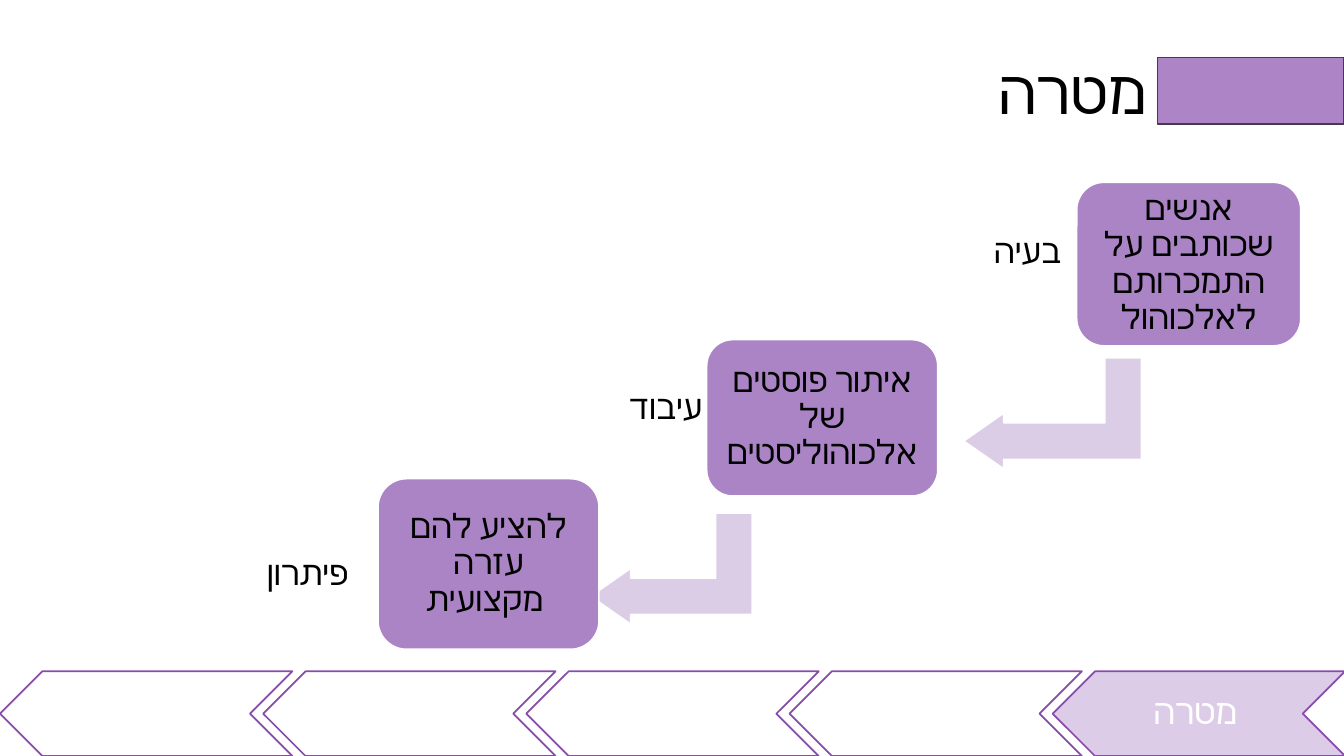
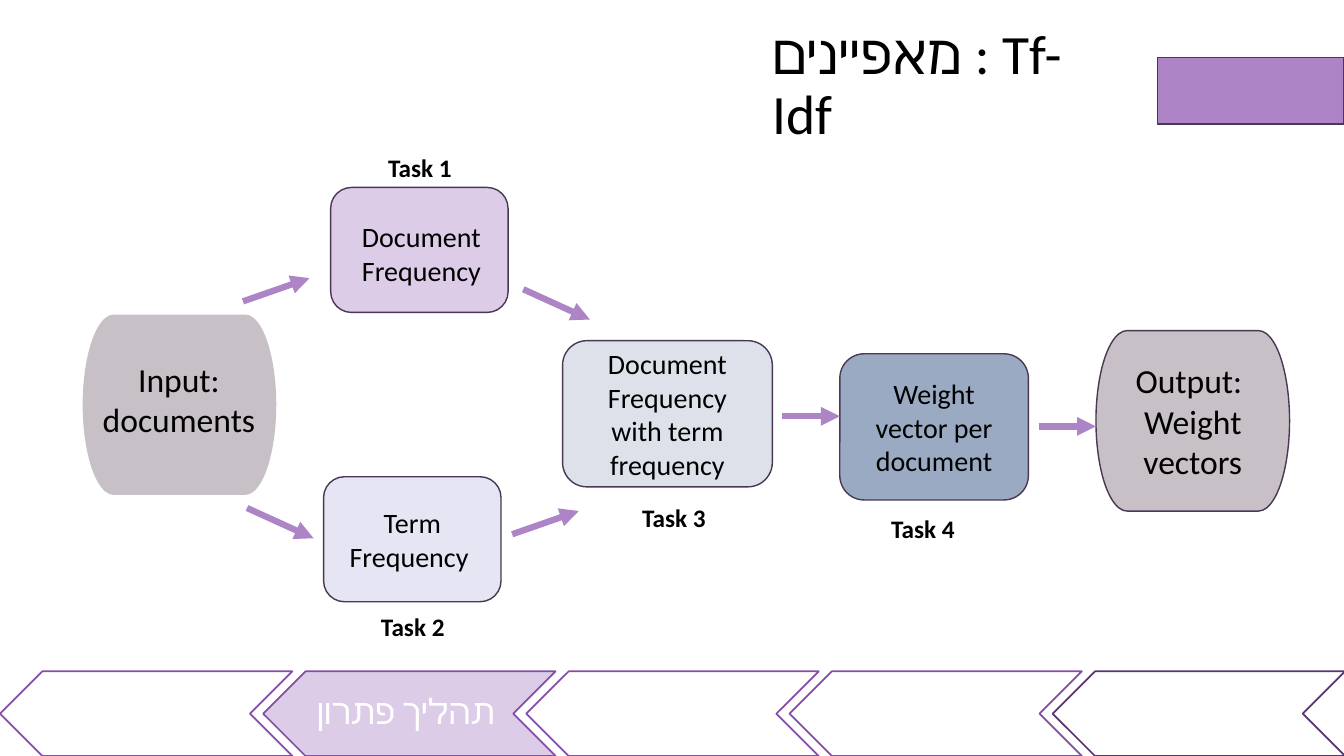
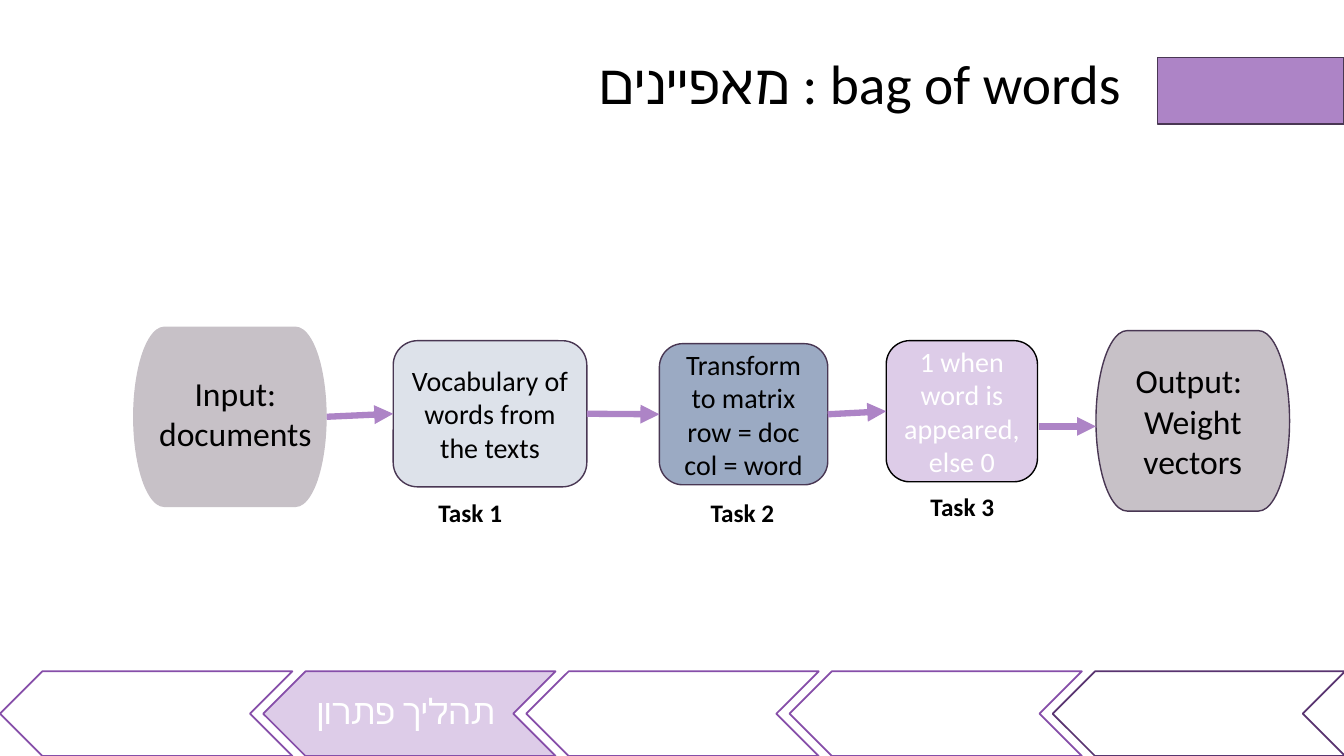
"""Builds three slides on finding posts about alcohol addiction."""
from lxml import etree
from pptx import Presentation
from pptx.dml.color import RGBColor
from pptx.enum.shapes import MSO_CONNECTOR, MSO_SHAPE
from pptx.enum.text import MSO_ANCHOR, PP_ALIGN
from pptx.oxml.ns import qn
from pptx.util import Inches, Pt

RECTANGLE = MSO_SHAPE.RECTANGLE
ROUNDED = MSO_SHAPE.ROUNDED_RECTANGLE
TERMINATOR = MSO_SHAPE.FLOWCHART_TERMINATOR
BENT_ARROW = MSO_SHAPE.BENT_ARROW
CHEVRON = MSO_SHAPE.CHEVRON
STRAIGHT = MSO_CONNECTOR.STRAIGHT
TOP, MIDDLE = MSO_ANCHOR.TOP, MSO_ANCHOR.MIDDLE
LEFT, CENTER, RIGHT = PP_ALIGN.LEFT, PP_ALIGN.CENTER, PP_ALIGN.RIGHT
LEFT_SIDE, RIGHT_SIDE = 1, 3

FONT = "Calibri"
COLORS = {
    "black": "000000", "white": "FFFFFF", "accent": "AD84C6", "step": "AB84C6",
    "bend": "DBCDE5", "lilac": "DDCCE8", "lavender": "E5E5F3", "mist": "DDE2EA",
    "steel": "9BAAC3", "stone": "C7C1C7", "outline": "493753",
    "stage": "864EA9", "dark_stage": "593470",
}
STAGE_COUNT, STAGE_PITCH = 5, 2.61


def color(name):
    """Return the named colour."""
    return RGBColor.from_string(COLORS[name])


def write(box, lines, size, ink="black", align=CENTER, anchor=MIDDLE,
          spacing=1.0, bold=False, insets=(0.1, 0.05, 0.1, 0.05)):
    """Write one paragraph per line into a shape."""
    frame = box.text_frame
    frame.word_wrap = True
    frame.vertical_anchor = anchor
    (frame.margin_left, frame.margin_top,
     frame.margin_right, frame.margin_bottom) = map(Inches, insets)
    for index, line in enumerate(lines):
        para = frame.add_paragraph() if index else frame.paragraphs[0]
        para.alignment = align
        para.line_spacing = spacing
        span = para.add_run()
        span.text = line
        span.font.name = FONT
        span.font.size = Pt(size)
        span.font.bold = bold
        span.font.color.rgb = color(ink)
        etree.SubElement(span.font._element, qn("a:cs"), typeface=FONT)


def add_text(page, at, lines, size, **style):
    """Add a text box."""
    box = page.shapes.add_textbox(*map(Inches, at))
    write(box, lines, size, **style)
    return box


def add_block(page, kind, at, fill, line=None, width=1):
    """Add a filled preset shape."""
    block = page.shapes.add_shape(kind, *map(Inches, at))
    block.shadow.inherit = False
    block.fill.solid()
    block.fill.fore_color.rgb = color(fill)
    if line:
        block.line.color.rgb = color(line)
        block.line.width = Pt(width)
    else:
        block.line.fill.background()
    return block


def add_task(page, at, fill, lines, line="outline", ink="black"):
    """Add a rounded task box with its text."""
    task = add_block(page, ROUNDED, at, fill, line)
    write(task, lines, 20, ink=ink)
    return task


def add_input(page, left, top, text_left, text_top):
    """Add the input terminator and its label."""
    source = add_block(page, TERMINATOR, (left, top, 1.92, 1.79), "stone")
    add_text(page, (text_left, text_top, 2.47, 0.91), ["Input:", "documents"],
             24, anchor=TOP)
    return source


def add_output(page):
    """Add the output terminator and the arrow into it."""
    output = add_block(page, TERMINATOR, (10.87, 3.28, 1.92, 1.79),
                       "stone", "outline")
    write(output, ["Output: ", "Weight vectors"], 24)
    add_arrow(page, (10.3, 4.23), (10.87, 4.23))


def add_arrow(page, start=(0, 0), end=(0, 0), source=None, target=None):
    """Add an arrow between two points or two shapes."""
    arrow = page.shapes.add_connector(STRAIGHT, *map(Inches, (*start, *end)))
    if source and target:
        arrow.begin_connect(source, RIGHT_SIDE)
        arrow.end_connect(target, LEFT_SIDE)
    arrow.line.color.rgb = color("accent")
    arrow.line.width = Pt(4.5)
    etree.SubElement(arrow.line._get_or_add_ln(), qn("a:tailEnd"), type="triangle")
    etree.SubElement(arrow._element.spPr, qn("a:effectLst"))


def add_captions(page, places):
    """Number the tasks at the given places."""
    for number, (left, top) in enumerate(places, 1):
        add_text(page, (left, top, 1.35, 0.4), [f"Task {number}"], 18,
                 align=LEFT, anchor=TOP, bold=True)


def add_page(deck, title, title_at, title_size, active, label,
             align=LEFT, rtl="0", first_line="dark_stage"):
    """Add a slide with title, accent bar and stage band."""
    page = deck.slides.add_slide(deck.slide_layouts[6])
    heading = add_text(page, title_at, [title], title_size, align=align, spacing=0.9)
    heading.text_frame.paragraphs[0]._p.get_or_add_pPr().set("rtl", rtl)
    add_block(page, RECTANGLE, (11.48, 0.57, 1.85, 0.66), "accent", "outline")
    for index in reversed(range(STAGE_COUNT)):
        left = index * STAGE_PITCH
        stage = add_block(page, CHEVRON, (left, 6.66, 2.9, 0.84),
                          "lilac" if index == active else "white",
                          first_line if index == STAGE_COUNT - 1 else "stage", 1.25)
        stage.rotation = 180
        if index == active:
            add_text(page, (left + 0.42, 6.66, 2.06, 0.84), [label], 25,
                     ink="white", spacing=0.9, insets=(0.04, 0.04, 0.11, 0.04))
    return page


def add_goal(deck):
    """Build the goal slide."""
    page = add_page(deck, "מטרה", (9.62, 0.24, 1.85, 1.4), 44, 4, "מטרה",
                    align=RIGHT, rtl="1", first_line="stage")
    for at in ((9.56, 3.55, 1.76, 1.1), (5.86, 5.09, 1.6, 1.1)):
        bend = add_block(page, BENT_ARROW, at, "bend", "white")
        bend.rotation = 180
        for index, value in enumerate((0.328, 0.25, 0.358, 0)):
            bend.adjustments[index] = value
    steps = (
        ((10.68, 1.81, 2.22, 1.62), "אנשים שכותבים על התמכרותם לאלכוהול",
         (9.76, 2.23), "בעיה"),
        ((7.01, 3.37, 2.29, 1.55), "איתור פוסטים של אלכוהוליסטים",
         (6.14, 3.78), "עיבוד"),
        ((3.75, 4.75, 2.19, 1.69), "להציע להם עזרה מקצועית ",
         (2.55, 5.43), "פיתרון"),
    )
    for at, text, label_at, label in steps:
        step = add_block(page, ROUNDED, at, "step", "white")
        write(step, [text], 24, spacing=0.9, insets=(0.1, 0.1, 0.1, 0.1))
        add_text(page, (*label_at, 1.58, 0.5), [label], 24, align=LEFT, anchor=TOP)


def add_tf_idf(deck):
    """Build the Tf-Idf slide."""
    page = add_page(deck, "מאפיינים : Tf-Idf", (7.56, 0.4, 3.5, 0.91), 39.6,
                    1, "תהליך פתרון")
    add_input(page, 0.82, 3.12, 0.54, 3.51)
    add_block(page, ROUNDED, (3.28, 1.86, 1.76, 1.24), "lilac", "outline")
    add_text(page, (3.21, 2.13, 1.94, 0.77), ["Document Frequency"], 20, anchor=TOP)
    add_task(page, (3.21, 4.73, 1.76, 1.24), "lavender", ["Term Frequency "])
    add_task(page, (5.58, 3.38, 2.08, 1.45), "mist",
             ["Document Frequency with term frequency"])
    add_task(page, (8.33, 3.51, 1.87, 1.45), "steel", ["Weight vector per document"])
    add_output(page)
    for start, end in (
        ((2.41, 2.99), (3.07, 2.76)), ((2.45, 5.04), (3.11, 5.34)),
        ((5.19, 2.87), (5.85, 3.17)), ((5.08, 5.3), (5.74, 5.07)),
        ((7.76, 4.13), (8.33, 4.13)),
    ):
        add_arrow(page, start, end)
    add_captions(page, ((3.75, 1.46), (3.68, 6.02), (6.27, 4.93), (8.74, 5.04)))


def add_bag_of_words(deck):
    """Build the bag of words slide."""
    page = add_page(deck, "מאפיינים : bag of words", (5.85, 0.4, 5.69, 0.91), 39.6,
                    1, "תהליך פתרון")
    chain = [
        add_input(page, 1.32, 3.24, 1.1, 3.65),
        add_task(page, (3.9, 3.38, 1.92, 1.45), "mist",
                 ["Vocabulary of words from the texts"]),
        add_task(page, (6.54, 3.41, 1.67, 1.4), "steel",
                 ["Transform to matrix", "row = doc", "col = word"]),
        add_task(page, (8.79, 3.38, 1.5, 1.4), "lilac",
                 ["1 when word is appeared, else 0"], line="black", ink="white"),
    ]
    for source, target in zip(chain, chain[1:]):
        add_arrow(page, source=source, target=target)
    add_output(page)
    add_captions(page, ((4.25, 4.88), (6.95, 4.88), (9.13, 4.83)))


def main():
    """Build and save the deck."""
    deck = Presentation()
    deck.slide_width, deck.slide_height = Inches(13.33), Inches(7.5)
    add_goal(deck)
    add_tf_idf(deck)
    add_bag_of_words(deck)
    deck.save("out.pptx")


if __name__ == "__main__":
    main()
